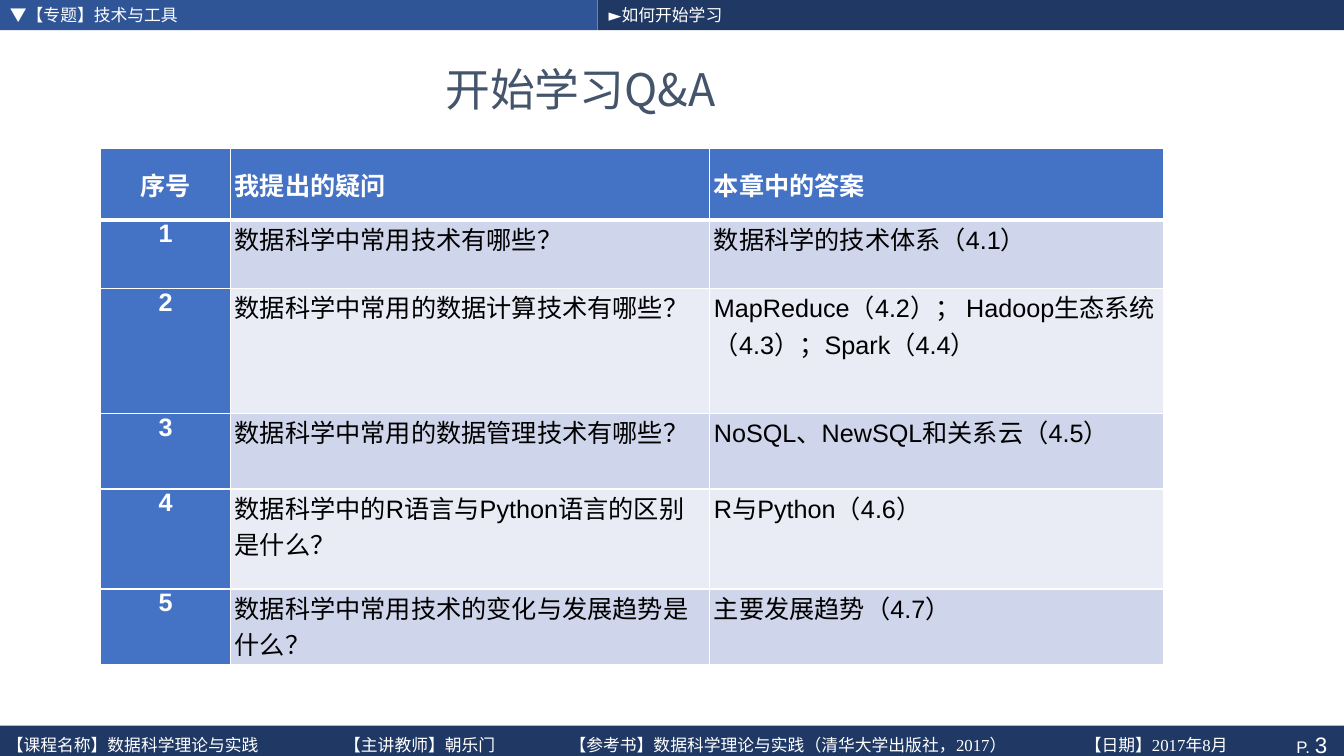
"""Build the Q&A slide with its header bars, table and footer."""
from lxml import etree
from pptx import Presentation
from pptx.dml.color import RGBColor
from pptx.enum.lang import MSO_LANGUAGE_ID
from pptx.enum.shapes import MSO_SHAPE
from pptx.enum.text import MSO_ANCHOR, PP_ALIGN
from pptx.oxml.ns import qn
from pptx.util import Pt

RECT = MSO_SHAPE.RECTANGLE
MID, TOP = MSO_ANCHOR.MIDDLE, MSO_ANCHOR.TOP
LEFT, CENTER, RIGHT = PP_ALIGN.LEFT, PP_ALIGN.CENTER, PP_ALIGN.RIGHT
CHINESE = MSO_LANGUAGE_ID.SIMPLIFIED_CHINESE

SANS, SERIF, CJK = "Arial", "Times New Roman", "Noto Sans CJK SC"
WHITE, BLACK, SLATE = "FFFFFF", "000000", "44546A"
NAVY, BLUE, HEAD = "203864", "2F5597", "4472C4"
BANDS = ["CFD5EA", "E9EBF5"]

WIDE, HIGH = 960, 540
SPLIT, BAR = 427, 21.6
TITLE = "开始学习Q&A"
BARS = [
    (0, 0, SPLIT, BAR, BLUE),
    (SPLIT, 0, WIDE - SPLIT, BAR, NAVY),
    (0, 518.4, WIDE, 26.6, NAVY),
]
FOOT = [
    "【课程名称】数据科学理论与实践",
    "【主讲教师】朝乐门",
    "【参考书】数据科学理论与实践（清华大学出版社，2017）",
    "【日期】2017年8月",
]
TABS = [241, 402, 770]
LABELS = [
    ("▼【专题】技术与工具", 0, 0, 348, 20.9, SANS),
    ("►如何开始学习", 427.7, 0, 171, 20.9, SANS),
    ("\t".join(FOOT), -2.2, 522, 919, 20.2, SERIF),
]
ROWS = [
    ("序号", "我提出的疑问", "本章中的答案"),
    ("1", "数据科学中常用技术有哪些？", "数据科学的技术体系（4.1）"),
    ("2", "数据科学中常用的数据计算技术有哪些？",
     "MapReduce（4.2）； Hadoop生态系统（4.3）；Spark（4.4）"),
    ("3", "数据科学中常用的数据管理技术有哪些？", "NoSQL、NewSQL和关系云（4.5）"),
    ("4", "数据科学中的R语言与Python语言的区别是什么？", "R与Python（4.6）"),
    ("5", "数据科学中常用技术的变化与发展趋势是什么？", "主要发展趋势（4.7）"),
]
WIDTHS = [92.7, 342.3, 324.5]
HEIGHTS = [51, 49, 89.5, 53.8, 71.5, 53.8]


def color(code):
    return RGBColor.from_string(code)


def style(run, size, name, code, bold=False):
    font = run.font
    font.size, font.name, font.bold = Pt(size), name, bold
    font.color.rgb = color(code)
    font.language_id = CHINESE
    east = etree.SubElement(run._r.get_or_add_rPr(), qn("a:ea"))
    east.set("typeface", CJK)


def place(item, *box):
    item.left, item.top, item.width, item.height = map(Pt, box)


def add_bar(slide, x, y, w, h, code):
    bar = slide.shapes.add_shape(RECT, Pt(x), Pt(y), Pt(w), Pt(h))
    bar.shadow.inherit = False
    bar.fill.solid()
    bar.fill.fore_color.rgb = color(code)
    bar.line.fill.background()
    return bar


def add_page(bar):
    frame = bar.text_frame
    frame.margin_right = Pt(12)
    frame.vertical_anchor = MID
    para = frame.paragraphs[0]
    para.alignment = RIGHT
    for text, size in (("P. ", 12), ("3", 16)):
        run = para.add_run()
        run.text = text
        style(run, size, SANS, WHITE)


def add_label(slide, text, x, y, w, h, name):
    frame = slide.shapes.add_textbox(Pt(x), Pt(y), Pt(w), Pt(h)).text_frame
    frame.word_wrap = True
    frame.vertical_anchor = MID
    para = frame.paragraphs[0]
    para.text = text
    if "\t" in text:
        stops = etree.SubElement(para._p.get_or_add_pPr(), qn("a:tabLst"))
        for stop in TABS:
            etree.SubElement(stops, qn("a:tab"), pos=str(Pt(stop)), algn="l")
    style(para.runs[0], 12, name, WHITE)


def add_edges(cell, row):
    props = cell._tc.get_or_add_tcPr()
    thick = {"lnT": 3 if row == 1 else 1, "lnB": 3 if row == 0 else 1}
    for side in ("lnL", "lnR", "lnT", "lnB"):
        line = etree.SubElement(props, qn("a:" + side), w=str(Pt(thick.get(side, 1))))
        fill = etree.SubElement(line, qn("a:solidFill"))
        etree.SubElement(fill, qn("a:srgbClr"), val=WHITE)


def fill_cell(cell, text, row, col):
    strong = row == 0 or col == 0
    cell.margin_left = cell.margin_right = Pt(3)
    cell.margin_top = cell.margin_bottom = 0
    cell.vertical_anchor = MID if row == 0 else TOP
    add_edges(cell, row)
    cell.fill.solid()
    cell.fill.fore_color.rgb = color(HEAD if strong else BANDS[(row - 1) % 2])
    para = cell.text_frame.paragraphs[0]
    para.text = text
    para.alignment = LEFT if col else CENTER
    style(para.runs[0], 18, SANS, WHITE if strong else BLACK, strong)


def add_grid(slide):
    table = slide.shapes.add_table(
        len(ROWS), len(WIDTHS), Pt(72), Pt(106),
        Pt(sum(WIDTHS)), Pt(sum(HEIGHTS))).table
    table.horz_banding = False
    for col, width in enumerate(WIDTHS):
        table.columns[col].width = Pt(width)
    for row, texts in enumerate(ROWS):
        table.rows[row].height = Pt(HEIGHTS[row])
        for col, text in enumerate(texts):
            fill_cell(table.cell(row, col), text, row, col)


def main():
    deck = Presentation()
    deck.slide_width, deck.slide_height = Pt(WIDE), Pt(HIGH)
    slide = deck.slides.add_slide(deck.slide_layouts[5])
    title = slide.shapes.title
    place(title, 31.7, 31, 766, 64.8)
    title.text_frame.text = TITLE
    title.text_frame.vertical_anchor = MID
    para = title.text_frame.paragraphs[0]
    para.alignment = CENTER
    style(para.runs[0], 32, CJK, SLATE)
    bars = [add_bar(slide, *bar) for bar in BARS]
    add_page(bars[-1])
    for label in LABELS:
        add_label(slide, *label)
    add_grid(slide)
    deck.save("out.pptx")


if __name__ == "__main__":
    main()
